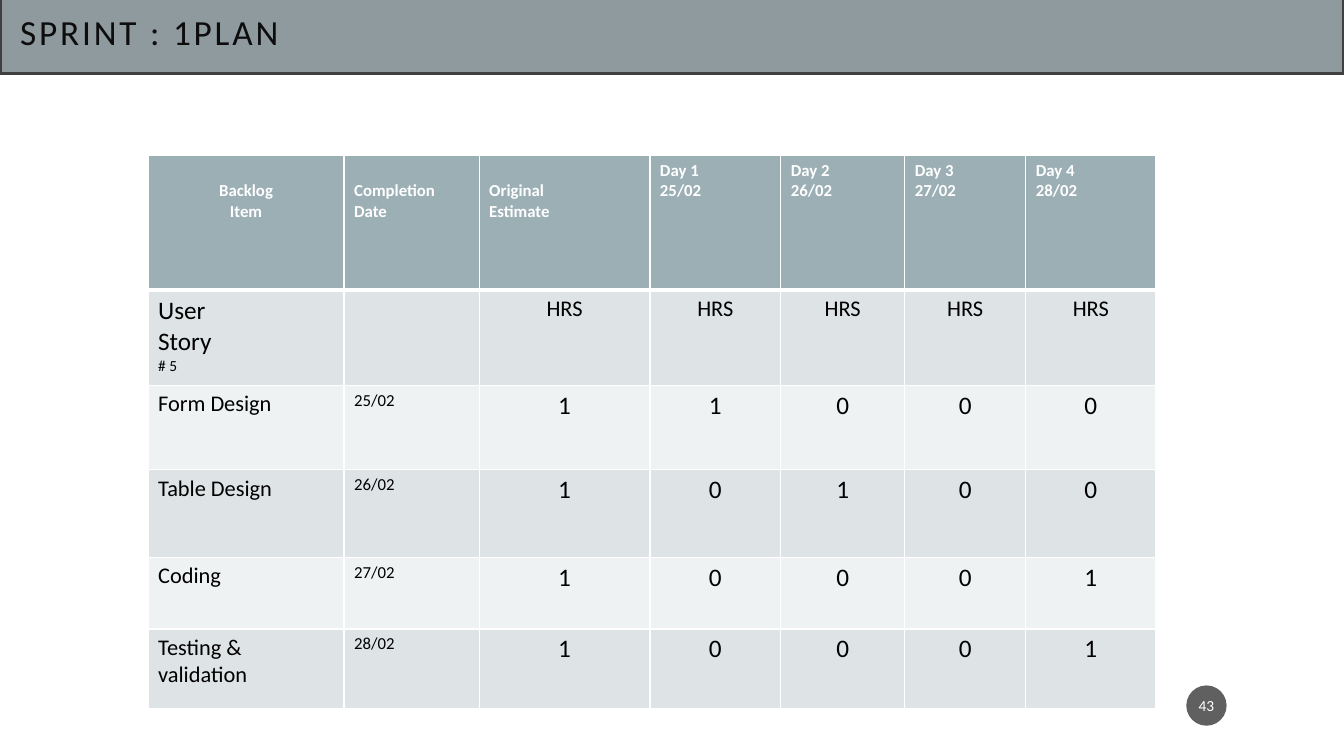
from lxml.etree import SubElement
from pptx import Presentation
from pptx.dml.color import RGBColor
from pptx.enum.shapes import MSO_SHAPE as Shape
from pptx.enum.text import MSO_ANCHOR as Anchor, PP_ALIGN as Align
from pptx.oxml import parse_xml
from pptx.oxml.ns import nsdecls, qn
from pptx.util import Pt

FONT = "Calibri"
WHITE = RGBColor(0xFF, 0xFF, 0xFF)
BLACK = RGBColor(0, 0, 0)
INK = RGBColor(0x0D, 0x0D, 0x0D)
BANNER = RGBColor(0x8E, 0x9A, 0x9E)
BANNER_EDGE = RGBColor(0x40, 0x40, 0x40)
BADGE = RGBColor(0x1D, 0x1D, 0x1D)
HEADING = RGBColor(0x9B, 0xAF, 0xB5)
BANDS = [RGBColor(0xEF, 0xF2, 0xF3), RGBColor(0xDE, 0xE3, 0xE5)]


def style(paragraph, size, color, align=Align.LEFT, bold=False):
    paragraph.alignment = align
    for run in paragraph.runs:
        run.font.name = FONT
        run.font.size = Pt(size)
        run.font.bold = bold
        run.font.color.rgb = color


def add_border(cell, side, width):
    cell._tc.get_or_add_tcPr().append(parse_xml(
        f'<a:ln{side} {nsdecls("a")} w="{Pt(width)}"><a:solidFill>'
        f'<a:srgbClr val="{WHITE}"/></a:solidFill></a:ln{side}>'))


prs = Presentation()
prs.slide_width, prs.slide_height = Pt(960), Pt(540)
slide = prs.slides.add_slide(prs.slide_layouts[6])

title = slide.shapes.add_shape(Shape.RECTANGLE, Pt(0), Pt(-3.6), Pt(960), Pt(56.2))
title.shadow.inherit = False
title.fill.solid()
title.fill.fore_color.rgb = BANNER
title.line.color.rgb = BANNER_EDGE
title.line.width = Pt(2.5)
heading = title.text_frame
heading.margin_left = heading.margin_right = Pt(14.4)
heading.margin_top = heading.margin_bottom = Pt(14.4)
heading.vertical_anchor = Anchor.MIDDLE
heading.text = "SPRINT : 1PLAN"
heading.paragraphs[0].line_spacing = 0.9
style(heading.paragraphs[0], 25.2, INK)
heading.paragraphs[0].runs[0].font._element.set("spc", "200")

page = slide.shapes.add_shape(Shape.OVAL, Pt(847.4), Pt(489.6), Pt(28.8), Pt(28.8))
page.shadow.inherit = False
page.fill.solid()
page.fill.fore_color.rgb = BADGE
SubElement(page.fill._xPr.find(".//" + qn("a:srgbClr")), qn("a:alpha"), val="70000")
page.line.fill.background()
number = page.text_frame
number.margin_left = number.margin_right = Pt(1.4)
number.margin_top = number.margin_bottom = Pt(3.6)
number.vertical_anchor = Anchor.MIDDLE
number.text = "43"
style(number.paragraphs[0], 11, WHITE, Align.CENTER)

column_widths = [140, 96.5, 122, 93.5, 88.5, 86.5, 93]
row_heights = [96.5, 67.7, 60.5, 62.6, 51.1, 56.9]
backlog = [
    ["Backlog\nItem", "Completion Date", "Original\nEstimate",
     "Day 1\n25/02", "Day 2\n26/02", "Day 3\n27/02", "Day 4\n28/02"],
    ["User\nStory\n# 5", "", "HRS", "HRS", "HRS", "HRS", "HRS"],
    ["Form Design", "25/02", "1", "1", "0", "0", "0"],
    ["Table Design", "26/02", "1", "0", "1", "0", "0"],
    ["Coding", "27/02", "1", "0", "0", "0", "1"],
    ["Testing & validation", "28/02", "1", "0", "0", "0", "1"],
]

plan = slide.shapes.add_table(
    len(row_heights), len(column_widths), Pt(105.8), Pt(110.9),
    Pt(sum(column_widths)), Pt(sum(row_heights))).table
for column, width in zip(plan.columns, column_widths):
    column.width = Pt(width)
for row, height in zip(plan.rows, row_heights):
    row.height = Pt(height)

for r, entries in enumerate(backlog):
    for c, entry in enumerate(entries):
        cell = plan.cell(r, c)
        add_border(cell, "L", 1)
        add_border(cell, "R", 1)
        add_border(cell, "T", 3 if r == 1 else 1)
        add_border(cell, "B", 3 if r == 0 else 1)
        cell.fill.solid()
        cell.fill.fore_color.rgb = BANDS[r % 2] if r else HEADING
        cell.text_frame.text = entry
        if r == 0 and c < 3:
            cell.margin_top = Pt(18.2)
        for line in cell.text_frame.paragraphs:
            if r == 0:
                style(line, 12, WHITE, Align.LEFT if c else Align.CENTER, True)
            elif c == 0:
                story_size = 11 if line.text.startswith("#") else 18
                style(line, story_size if r == 1 else 16, BLACK)
            elif c == 1:
                style(line, 12, BLACK)
            else:
                style(line, 16 if r == 1 else 18, BLACK, Align.CENTER)

prs.save("out.pptx")
